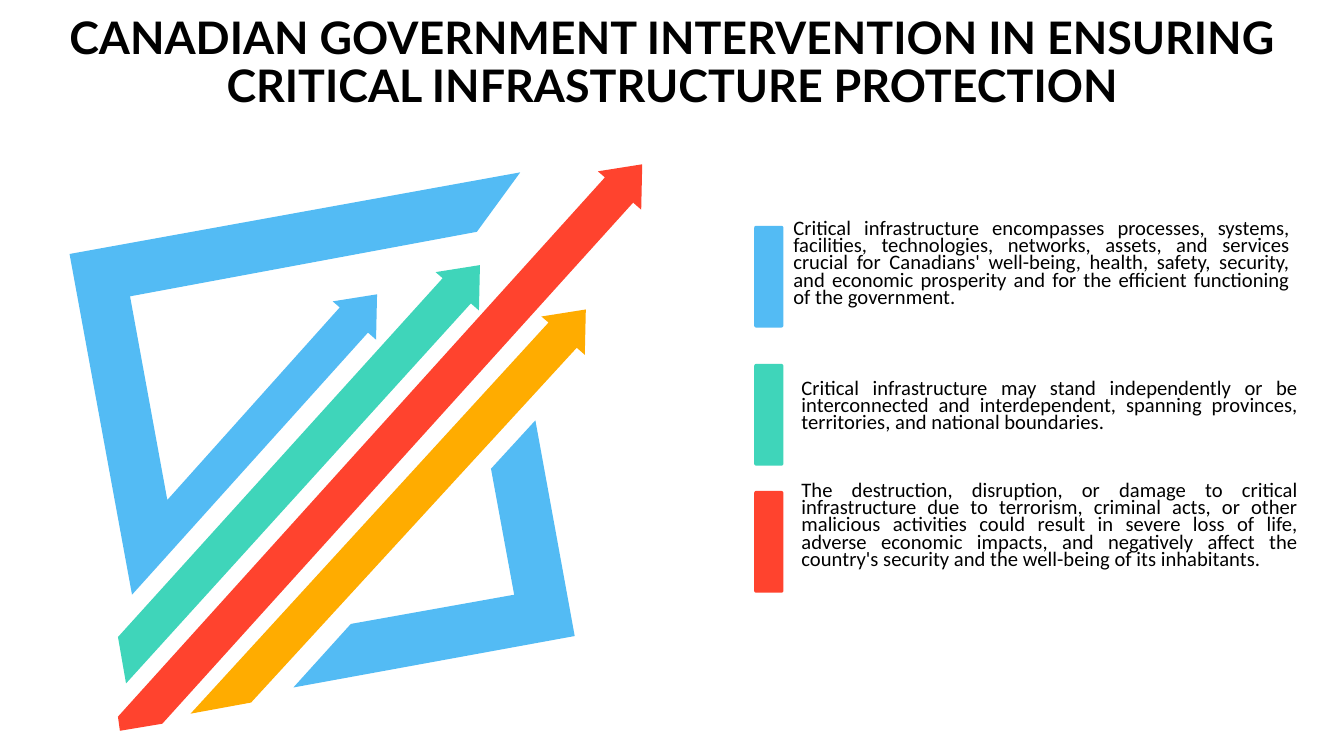
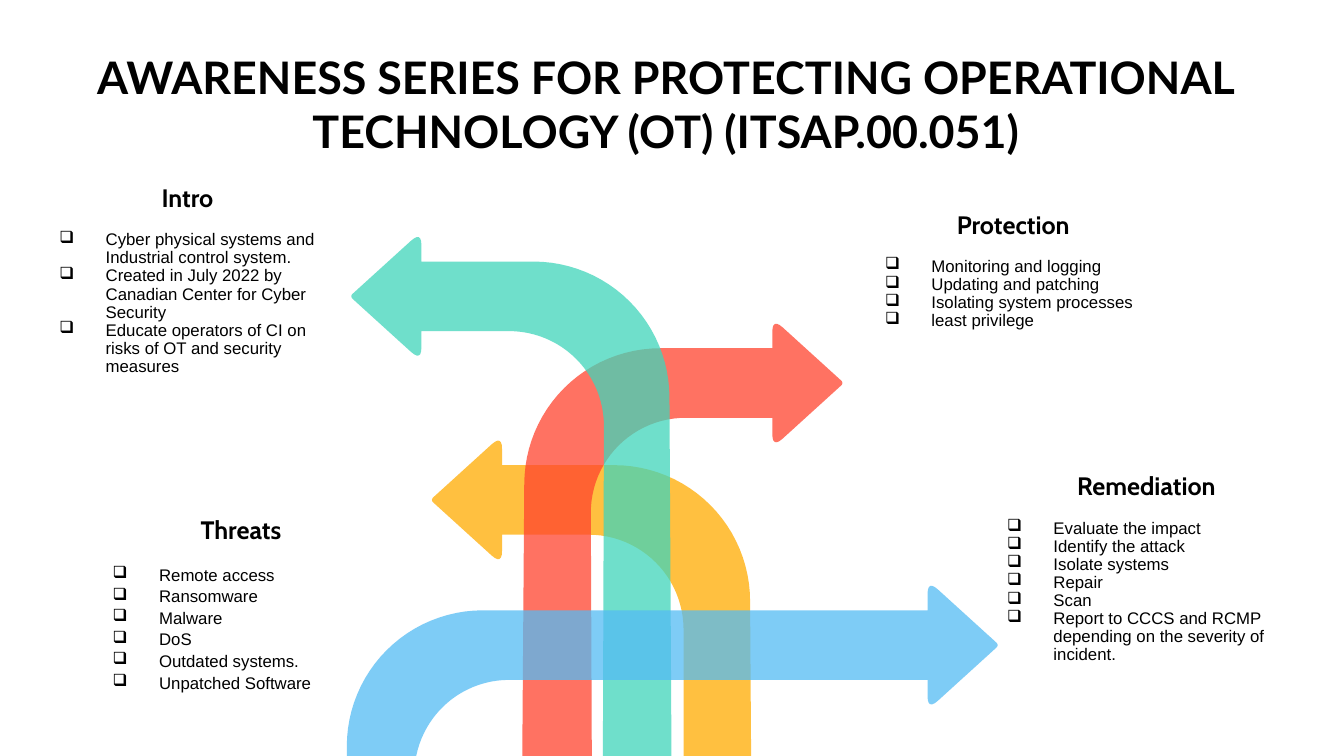
"""Build two slides on critical infrastructure protection."""
import math
from dataclasses import dataclass

from lxml import etree
from pptx import Presentation
from pptx import util as u
from pptx.dml.color import RGBColor
from pptx.enum import shapes, text
from pptx.oxml.ns import qn


@dataclass(frozen=True)
class Theme:
    """Colours, fonts and type sizes shared by the slides."""
    blue: str = "53BBF4"
    green: str = "3FD5BA"
    red: str = "FF432E"
    yellow: str = "FFAC00"
    ink: str = "000000"
    title_font: str = "Lato"
    heading_font: str = "Cabin"
    body_font: str = "Calibri"
    list_font: str = "Arial"
    title_size: float = 32
    heading_size: float = 18
    body_size: float = 14.7
    list_size: float = 12
    gap: float = 13.3


THEME = Theme()
WIDTH, HEIGHT = 13.33, 7.5

LEGEND = [
    (THEME.blue, 2.24, (7.77, 2.05, 5.12, 1.15),
     "Critical infrastructure encompasses processes, systems, facilities, technologies, networks, "
     "assets, and services crucial for Canadians' well-being, health, safety, security, and economic "
     "prosperity and for the efficient functioning of the government."),
    (THEME.green, 3.61, (7.85, 3.6, 5.12, 0.88),
     "Critical infrastructure may stand independently or be interconnected and interdependent, "
     "spanning provinces, territories, and national boundaries."),
    (THEME.red, 4.87, (7.85, 4.65, 5.12, 1.15),
     "The destruction, disruption, or damage to critical infrastructure due to terrorism, criminal "
     "acts, or other malicious activities could result in severe loss of life, adverse economic "
     "impacts, and negatively affect the country's security and the well-being of its inhabitants."),
]

TOPICS = [
    ("Intro", (0.28, 1.68, 3.16, 2.11), 0.9,
     ["Cyber physical systems and Industrial control system.",
      "Created in July 2022 by Canadian Center for Cyber Security",
      "Educate operators of CI on risks of OT and security measures"]),
    ("Threats", (0.81, 4.95, 3.16, 2), 1.07,
     ["Remote access", "Ransomware", "Malware", "DoS", "Outdated systems.", "Unpatched Software"]),
    ("Protection", (8.47, 1.94, 3.16, 1.4), 0.9,
     ["Monitoring and logging", "Updating and patching", "Isolating system processes",
      "least privilege"]),
    ("Remediation", (9.68, 4.54, 3.38, 2.11), 0.9,
     ["Evaluate the impact", "Identify the attack", "Isolate systems", "Repair", "Scan",
      "Report to CCCS and RCMP depending on the severity of incident."]),
]


def paint(shape, color, opacity=100):
    """Fill a shape without line or shadow."""
    shape.shadow.inherit = False
    shape.fill.solid()
    shape.fill.fore_color.rgb = RGBColor.from_string(color)
    shape.line.fill.background()
    if opacity < 100:
        tone = shape.fill._xPr.find(".//" + qn("a:srgbClr"))
        etree.SubElement(tone, qn("a:alpha")).set("val", str(opacity * 1000))


def add_outline(page, points, color, opacity=100):
    """Draw a closed outline through points given in inches."""
    corners = [(u.Inches(x), u.Inches(y)) for x, y in points]
    builder = page.shapes.build_freeform(*corners[0])
    builder.add_line_segments(corners[1:], close=True)
    paint(builder.convert_to_shape(), color, opacity)


def add_text_box(page, area, inset=0.05):
    """Add a wrapping, vertically centred text box and return its frame."""
    frame = page.shapes.add_textbox(*map(u.Inches, area)).text_frame
    frame.word_wrap = True
    frame.auto_size = text.MSO_AUTO_SIZE.SHAPE_TO_FIT_TEXT
    frame.vertical_anchor = text.MSO_ANCHOR.MIDDLE
    frame.margin_top = frame.margin_bottom = u.Inches(inset)
    return frame


def style(para, font, size, bold=False, align=None, spacing=1.0, before=0):
    """Format a paragraph and its runs."""
    para.alignment = align
    para.line_spacing = spacing
    para.space_before = u.Pt(before)
    for span in para.runs:
        span.font.name = font
        span.font.size = u.Pt(size)
        span.font.bold = bold
        span.font.color.rgb = RGBColor.from_string(THEME.ink)


def add_title(page, area, words, spacing=1.0, before=0):
    """Add the centred slide title."""
    frame = add_text_box(page, area, inset=0.1)
    frame.text = words
    style(frame.paragraphs[0], THEME.title_font, THEME.title_size, True,
          text.PP_ALIGN.CENTER, spacing, before)


def add_legend_item(page, color, top, area, words):
    """Add a coloured bar and its justified text."""
    bar = page.shapes.add_shape(shapes.MSO_SHAPE.ROUNDED_RECTANGLE,
                                *map(u.Inches, (7.48, top, 0.29, 1.01)))
    bar.adjustments[0] = 0.07
    paint(bar, color)
    frame = add_text_box(page, area)
    frame.text = words
    style(frame.paragraphs[0], THEME.body_font, THEME.body_size,
          align=text.PP_ALIGN.JUSTIFY, spacing=0.7, before=THEME.gap)


def add_bullet(para):
    """Give a paragraph a hanging box bullet."""
    props = para._p.get_or_add_pPr()
    props.set("marL", str(u.Inches(0.67)))
    props.set("indent", str(u.Inches(-0.46)))
    etree.SubElement(props, qn("a:buChar")).set("char", "❑")


def add_topic(page, heading, area, spacing, items):
    """Add a heading with a bulleted list below."""
    frame = add_text_box(page, area)
    frame.text = "\n".join([heading, *items])
    first, *rest = frame.paragraphs
    style(first, THEME.heading_font, THEME.heading_size, True, text.PP_ALIGN.CENTER, 1.24)
    for index, para in enumerate(rest):
        style(para, THEME.list_font, THEME.list_size, spacing=spacing,
              before=0 if index else THEME.gap)
        add_bullet(para)


def slanted_head(x, y):
    """Return the corners of a slanted arrowhead with its tip at x, y."""
    offsets = [(-0.37, 0.13), (-0.44, 0.07), (0, 0), (-0.01, 0.45), (-0.09, 0.38)]
    return [(x + dx, y + dy) for dx, dy in offsets]


def rounded(before, corner, after, cut):
    """Return points that round a corner, starting cut inches away from it."""
    def toward(end):
        share = cut / math.dist(corner, end)
        return [c + (e - c) * share for c, e in zip(corner, end)]

    start, stop = toward(before), toward(after)
    steps = [step / 6 for step in range(7)]
    return [tuple((1 - t) ** 2 * a + 2 * t * (1 - t) * c + t * t * b
                  for a, c, b in zip(start, corner, stop)) for t in steps]


def quarter(center_x, center_y, radius, side):
    """Return a quarter turn from its top to its side, kept on the page."""
    angles = [math.pi / 2 * step / 24 for step in range(25)]
    return [(center_x + side * radius * math.sin(a),
             min(center_y - radius * math.cos(a), HEIGHT)) for a in angles]


def add_bent_arrow(page, tip, middle, outer, inner, foot, color):
    """Draw a translucent arrow that rises from the page foot and turns to its tip."""
    side = 1 if outer > tip else -1
    half, barb, outer_radius, inner_radius = 0.345, 0.645, 1.35, 0.94
    neck = tip + side * 0.69
    point = (tip - side * 0.02, middle)
    upper, lower = (neck, middle - barb), (neck, middle + barb)
    above, below = (neck, middle - half), (neck, middle + half)
    turn_out = quarter(outer - side * outer_radius, middle - half + outer_radius,
                       outer_radius, side)
    turn_in = quarter(inner - side * inner_radius, middle + half + inner_radius,
                      inner_radius, side)
    outline = [above, *turn_out, (foot[0], HEIGHT), (foot[1], HEIGHT), *reversed(turn_in), below,
               *rounded(below, lower, point, 0.14),
               *rounded(lower, point, upper, 0.04),
               *rounded(point, upper, above, 0.14)]
    add_outline(page, outline, color, 75)


def build_intervention(page):
    """Build the slide on government intervention."""
    outlines = [
        ([(0.69, 2.52), (5.16, 1.71), (4.73, 2.3), (1.29, 2.94), (1.66, 4.96),
          *slanted_head(3.74, 2.92), (1.31, 5.9)], THEME.blue),
        ([(1.17, 6.32), *slanted_head(4.76, 2.63), (1.25, 6.78)], THEME.green),
        ([(1.17, 7.11), *slanted_head(6.37, 1.63), (1.61, 7.18), (1.19, 7.25)], THEME.red),
        ([(5.31, 4.17), (5.7, 6.31), (2.91, 6.82), (3.48, 6.19), (5.1, 5.9), (4.87, 4.65)],
         THEME.blue),
        ([(1.89, 7.08), *slanted_head(5.81, 3.07), (2.49, 6.97)], THEME.yellow),
    ]
    for points, color in outlines:
        add_outline(page, points, color)
    for item in LEGEND:
        add_legend_item(page, *item)
    add_title(page, (0.14, -0.04, 13.06, 1.35),
              "CANADIAN GOVERNMENT INTERVENTION IN ENSURING CRITICAL INFRASTRUCTURE PROTECTION",
              0.9, THEME.gap)


def build_awareness(page):
    """Build the slide on the awareness series."""
    arrows = [
        (4.29, 4.96, 7.44, 6.78, (7.45, 6.78), THEME.yellow),
        (8.35, 3.8, 5.2, 5.86, (5.18, 5.87), THEME.red),
        (3.49, 2.94, 6.64, 5.99, (6.66, 5.98), THEME.green),
        (9.89, 6.4, 3.44, 4.11, (3.44, 4.11), THEME.blue),
    ]
    for arrow in arrows:
        add_bent_arrow(page, *arrow)
    for topic in TOPICS:
        add_topic(page, *topic)
    add_title(page, (0.16, 0.39, 12.89, 1.28),
              "AWARENESS SERIES FOR PROTECTING OPERATIONAL TECHNOLOGY (OT) (ITSAP.00.051)")


def main():
    """Build and save the deck."""
    deck = Presentation()
    deck.slide_width, deck.slide_height = u.Inches(WIDTH), u.Inches(HEIGHT)
    for build in (build_intervention, build_awareness):
        build(deck.slides.add_slide(deck.slide_layouts[6]))
    deck.save("out.pptx")


if __name__ == "__main__":
    main()
